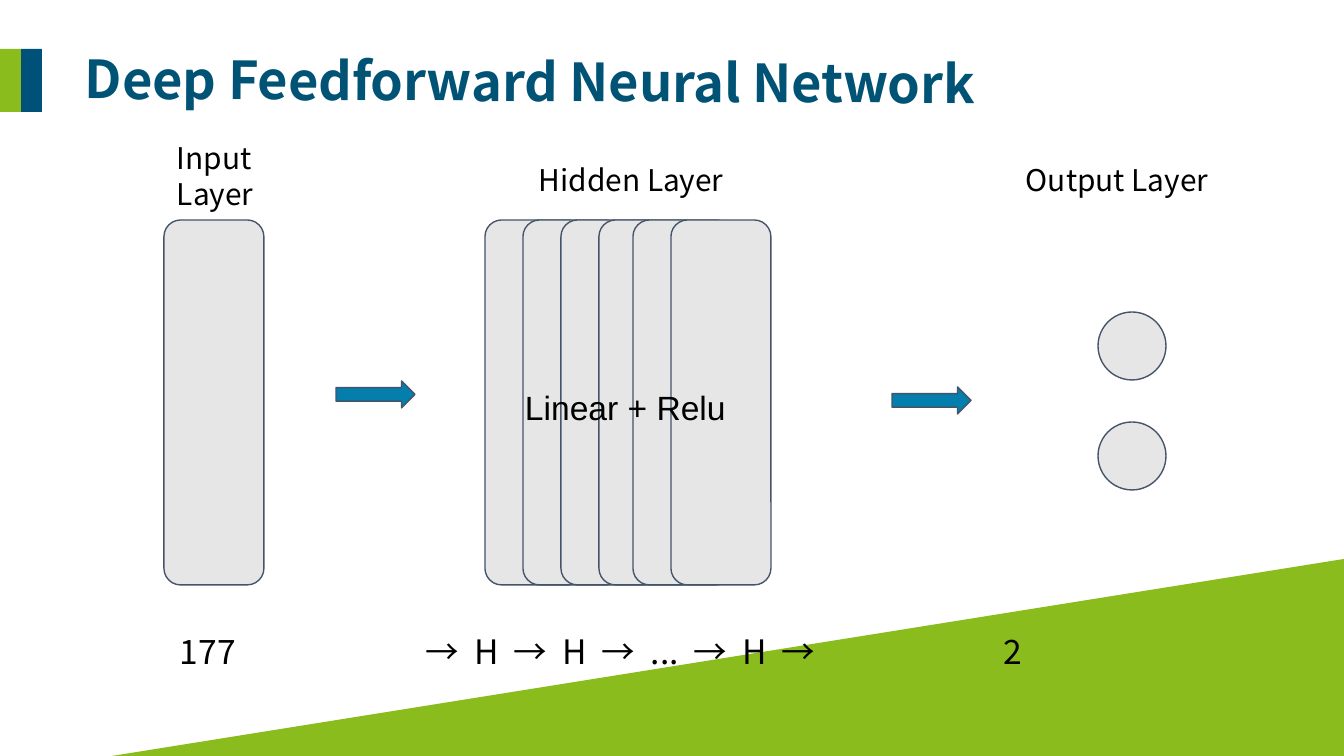
import pptx
import pptx.util
import pptx.dml.color
import pptx.enum.shapes
import pptx.enum.text
import pptx.oxml.ns
from lxml import etree

SCALE = 914400 / 134.4
SANS = "Noto Sans CJK SC"
GREEN, NAVY, BLUE = "8ABC1D", "00517A", "047EAD"
GREY, SLATE, BLACK = "E7E6E6", "44546A", "000000"
KIND = pptx.enum.shapes.MSO_SHAPE
ALIGN = pptx.enum.text.PP_ALIGN
ANCHOR = pptx.enum.text.MSO_ANCHOR


def px(n):
    return pptx.util.Emu(round(n * SCALE))


def color(code):
    return pptx.dml.color.RGBColor.from_string(code)


def place(item, x, y, w, h):
    item.left, item.top, item.width, item.height = map(px, (x, y, w, h))


def shape(slide, kind, box, fill, line=None):
    item = slide.shapes.add_shape(kind, *map(px, box))
    item.shadow.inherit = False
    item.fill.solid()
    item.fill.fore_color.rgb = color(fill)
    if line:
        item.line.color.rgb = color(line)
        item.line.width = pptx.util.Pt(0.75)
    else:
        item.line.fill.background()
    return item


def set_tabs(para, stops):
    """Add left tab stops, given in px from the text edge."""
    qn = pptx.oxml.ns.qn
    tabs = etree.SubElement(para._p.get_or_add_pPr(), qn("a:tabLst"))
    for stop in stops:
        etree.SubElement(tabs, qn("a:tab"), pos=str(px(stop)), algn="l")


def write(item, text, size=16, font=SANS, fill=BLACK, bold=False, wrap=True,
          align=ALIGN.LEFT, anchor=ANCHOR.TOP, inset=13, foot=None, tabs=()):
    frame = item.text_frame
    frame.word_wrap = wrap
    frame.vertical_anchor = anchor
    frame.margin_left = frame.margin_right = frame.margin_top = px(inset)
    frame.margin_bottom = px(inset if foot is None else foot)
    para = frame.paragraphs[0]
    para.alignment = align
    if tabs:
        set_tabs(para, tabs)
    run = para.add_run()
    run.text = text
    run.font.size = pptx.util.Pt(size)
    run.font.name = font
    run.font.bold = bold
    run.font.color.rgb = color(fill)


def label(slide, text, box, **style):
    write(slide.shapes.add_textbox(*map(px, box)), text, **style)


def layer(slide, x):
    shape(slide, KIND.ROUNDED_RECTANGLE, (x, 220, 100, 365), GREY, SLATE)


def arrow(slide, x, y):
    shape(slide, KIND.RIGHT_ARROW, (x, y, 79, 27), BLUE, SLATE)


def sizes(slide):
    """Write the row of layer widths, each token at its own tab stop."""
    left = 180
    row = [("177", 180), ("→", 426), ("H", 475), ("→", 514), ("H", 563),
           ("→", 602), ("...", 651), ("→", 694), ("H", 743), ("→", 782),
           ("2", 1004)]
    label(slide, "\t".join(word for word, x in row), (167, 618, 1032, 67),
          size=18, tabs=[x - left for word, x in row[1:]])


def main():
    deck = pptx.Presentation()
    deck.slide_width, deck.slide_height = px(1344), px(756)
    slide = deck.slides.add_slide(deck.slide_layouts[5])

    wedge = shape(slide, KIND.RIGHT_TRIANGLE, (112, 559, 1232, 197), GREEN)
    wedge.element.spPr.xfrm.set("flipH", "1")
    for x, fill in ((0, GREEN), (21, NAVY)):
        shape(slide, KIND.RECTANGLE, (x, 49, 21, 63), fill)

    title = slide.shapes.title
    place(title, 50, 42, 960, 77)
    title.rotation = 0.3
    write(title, "Deep Feedforward Neural Network", size=28, fill="005374",
          bold=True, wrap=False, align=ALIGN.CENTER, anchor=ANCHOR.MIDDLE,
          inset=0)

    for x in (164, 485, 523, 561, 599, 633, 671):
        layer(slide, x)
    arrow(slide, 336, 381)
    arrow(slide, 892, 387)
    for y in (312, 422):
        shape(slide, KIND.OVAL, (1098, y, 68, 68), GREY, SLATE)

    sizes(slide)
    label(slide, "Linear + Relu", (512, 288, 260, 267), size=18,
          font="Arial", anchor=ANCHOR.MIDDLE, foot=41)
    label(slide, "Input Layer", (164, 127, 167, 50))
    label(slide, "Hidden Layer", (526, 149, 223, 50))
    label(slide, "Output Layer", (1013, 149, 223, 50))
    deck.save("out.pptx")


if __name__ == "__main__":
    main()
